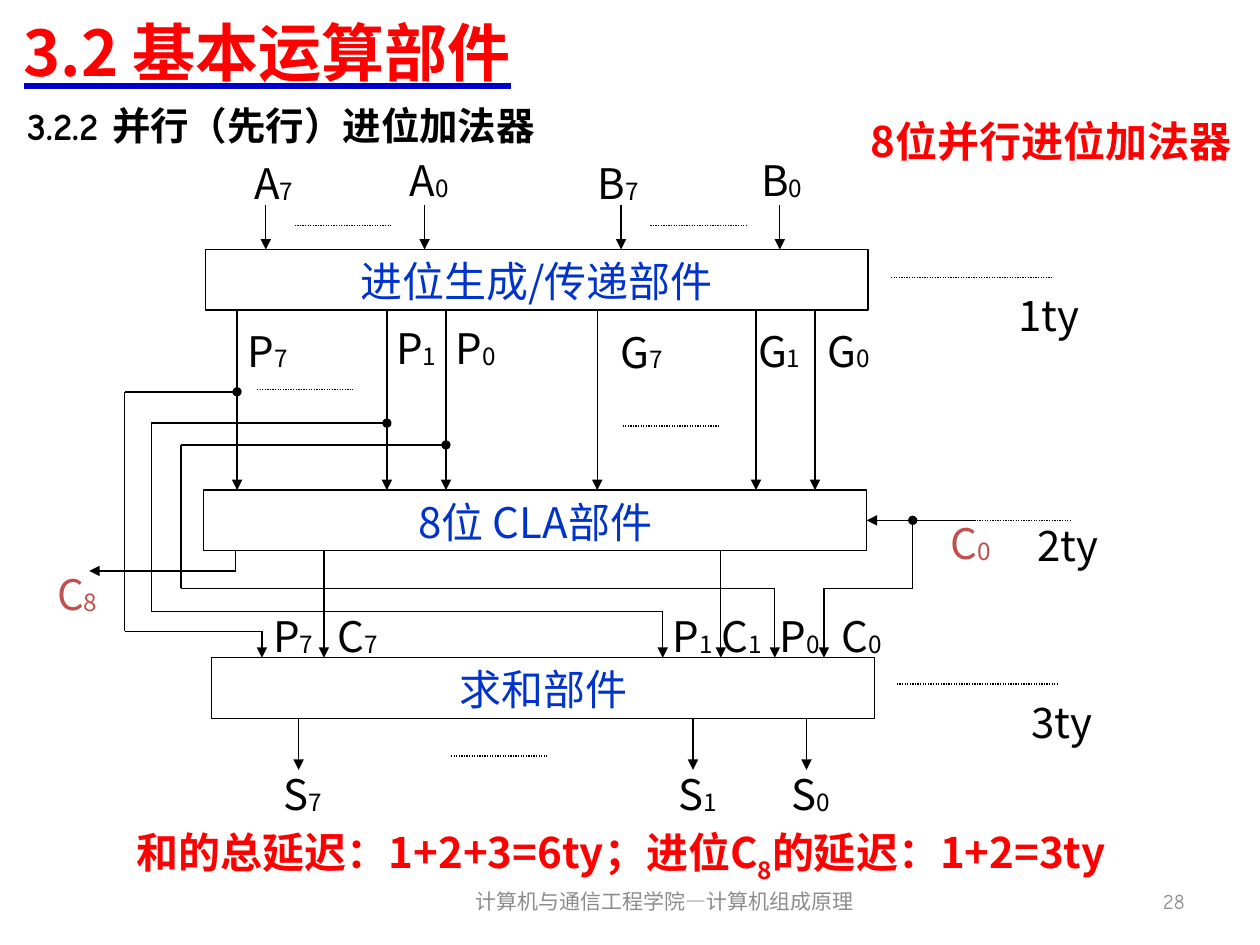
from itertools import pairwise
from pptx import Presentation
from pptx.dml.color import RGBColor as Rgb
from pptx.enum.dml import MSO_LINE as Dash
from pptx.enum.shapes import MSO_CONNECTOR as Conn, MSO_SHAPE as Geo
from pptx.enum.text import MSO_ANCHOR as Anchor, MSO_UNDERLINE as Under, PP_ALIGN as Align
from pptx.oxml import parse_xml
from pptx.oxml.ns import nsdecls, qn
from pptx.util import Cm, Pt

SANS, COMIC = "Noto Sans CJK SC", "Comic Neue"
BLACK, RED, BLUE, ROSE, GREY = "000000", "FF0000", "0033CC", "C0504D", "8C8C8C"
WIDE, HIGH = 13.36, 1.22


def hue(code):
    """Turn a hex string into a colour."""
    return Rgb.from_string(code)


def write(shape, text, size=24, font=SANS, color=BLACK, bold=False,
          align=Align.CENTER, anchor=Anchor.TOP, line=None):
    """Fill a shape with a string or a list of (string, baseline) runs."""
    frame = shape.text_frame
    frame.word_wrap = True
    frame.vertical_anchor = anchor
    para = frame.paragraphs[0]
    para.alignment = align
    for part, base in [(text, 0)] if isinstance(text, str) else text:
        run = para.add_run()
        run.text = part
        face = run.font
        face.size, face.name, face.bold = Pt(size), font, bold
        face.color.rgb = hue(color)
        props = face._element
        if base:
            props.set("baseline", str(base * 1000))
        if line:
            face.underline = Under.HEAVY_LINE
            props.find(qn("a:latin")).addprevious(parse_xml(
                f'<a:uFill {nsdecls("a")}><a:solidFill><a:srgbClr val="{line}"/>'
                '</a:solidFill></a:uFill>'))
        props.find(qn("a:latin")).addnext(
            parse_xml(f'<a:ea {nsdecls("a")} typeface="{SANS}"/>'))


def note(slide, x, y, w, h, text, **style):
    """Add a text box."""
    write(slide.shapes.add_textbox(Cm(x), Cm(y), Cm(w), Cm(h)), text, **style)


def sign(slide, x, y, name, color=BLACK):
    """Add a signal name with its index, centred on x."""
    note(slide, x - 0.9, y, 1.8, 1.27, [(name[0], 0), (name[1], -2)], color=color)


def wire(slide, x1, y1, x2, y2, tip=False, dash=None):
    """Add a straight line, with an arrowhead if tip is set."""
    link = slide.shapes.add_connector(Conn.STRAIGHT, Cm(x1), Cm(y1), Cm(x2), Cm(y2))
    link.line.color.rgb = hue(BLACK)
    link.line.width = Pt(0.75)
    if dash:
        link.line.dash_style = dash
    if tip:
        link.line._get_or_add_ln().append(
            parse_xml(f'<a:tailEnd {nsdecls("a")} type="triangle"/>'))
    link._element.spPr.append(parse_xml(f'<a:effectLst {nsdecls("a")}/>'))
    return link


def dots(slide, x, y, size=1.94):
    """Add a dotted level line."""
    wire(slide, x, y, x + size, y, dash=Dash.ROUND_DOT)


def route(slide, *points):
    """Join points with lines, the last one an arrow."""
    legs = list(pairwise(points))
    for leg in legs:
        wire(slide, *leg[0], *leg[1], tip=leg is legs[-1])


def shape(slide, geo, x, y, w, h):
    """Add an outlined shape without fill."""
    item = slide.shapes.add_shape(geo, Cm(x), Cm(y), Cm(w), Cm(h))
    item.shadow.inherit = False
    item.fill.background()
    item.line.color.rgb = hue(BLACK)
    item.line.width = Pt(0.75)
    return item


def unit(slide, x, y, text):
    """Add a named block of the adder."""
    item = shape(slide, Geo.RECTANGLE, x, y, WIDE, HIGH)
    write(item, text, color=BLUE)
    return item


def knot(slide, x, y):
    """Add a junction dot centred on a point."""
    item = shape(slide, Geo.OVAL, x - 0.08, y - 0.08, 0.16, 0.16)
    item.fill.solid()
    item.fill.fore_color.rgb = hue(BLACK)


def carry(slide, x, y):
    """Draw the generate and propagate block with its inputs."""
    unit(slide, x, y, "进位生成/传递部件")
    for name, dx, tx, ty in [("A7", 1.22, 1.38, -1.98), ("A0", 4.42, 4.51, -2.03),
                             ("B7", 8.38, 8.32, -1.98), ("B0", 11.58, 11.62, -2.03)]:
        wire(slide, x + dx, y - 0.89, x + dx, y, tip=True)
        sign(slide, x + tx, y + ty, name)
    for dx in (1.8, 8.97):
        dots(slide, x + dx, y - 0.48)


def ahead(slide, x, y):
    """Draw the look-ahead block with the wires above and below it."""
    box = unit(slide, x, y, "8位 CLA部件")
    mid, end = HIGH / 2, y + 3.38
    for name, dx, tx, ty in [("P7", 0.67, 1.29, -3.45), ("P1", 3.69, 4.28, -3.5),
                             ("P0", 4.88, 5.48, -3.5), ("G7", 7.93, 8.83, -3.43),
                             ("G1", 11.13, 11.6, -3.45), ("G0", 12.32, 13.01, -3.45)]:
        wire(slide, x + dx, y - 3.63, x + dx, y, tip=True)
        sign(slide, x + tx, y + ty, name)
    dots(slide, x + 1.07, y - 2.03)
    dots(slide, x + 8.44, y - 1.29)
    for tap, top, left, low, goal in [(0.67, -1.98, -1.6, 2.85, 1.17),
                                      (3.69, -1.35, -1.06, 2.44, 9.25),
                                      (4.88, -0.91, -0.46, 1.98, 11.51)]:
        route(slide, (x + tap, y + top), (x + left, y + top), (x + left, y + low),
              (x + goal, y + low), (x + goal, end))
        knot(slide, x + tap, y + top)
    for dx in (2.42, 10.42):
        wire(slide, x + dx, y + HIGH, x + dx, end, tip=True)
    feed = wire(slide, x + 15.55, y + mid, x + WIDE, y + mid, tip=True)
    feed.end_connect(box, 3)
    route(slide, (x + 14.29, y + mid), (x + 14.29, y + 1.98),
          (x + 12.5, y + 1.98), (x + 12.5, end))
    knot(slide, x + 14.29, y + mid)
    sign(slide, x + 15.46, y + 0.43, "C0", ROSE)
    route(slide, (x + 0.64, y + HIGH), (x + 0.64, y + 1.63), (x - 2.31, y + 1.63))
    sign(slide, x - 2.55, y + 1.45, "C8", ROSE)


def total(slide, x, y):
    """Draw the sum block with its input names and outputs."""
    unit(slide, x, y, "求和部件")
    for name, dx in [("P7", 1.64), ("C7", 2.94), ("P1", 9.69),
                     ("C1", 10.69), ("P0", 11.85), ("C0", 13.1)]:
        sign(slide, x + dx, y - 1.07, name)
    for name, dx in [("S7", 1.75), ("S1", 9.7), ("S0", 11.99)]:
        wire(slide, x + dx, y + HIGH, x + dx, y + 2.26, tip=True)
        sign(slide, x + dx + 0.09, y + 2.11, name)
    dots(slide, x + 4.82, y + 1.98)


def delay(slide, x, y, text, dx, dy):
    """Draw a dotted level with its delay."""
    dots(slide, x, y, 3.25)
    note(slide, x + dx - 1.18, y + dy, 2.36, 1.27, text)


def head(slide, x, y):
    """Write the title, the section and the topic."""
    note(slide, x, y, 22.86, 1.8, "3.2 基本运算部件", size=36, color=RED, bold=True,
         align=Align.LEFT, anchor=Anchor.MIDDLE, line="0000CC")
    note(slide, x + 0.07, y + 1.8, 15, 1.2, "3.2.2 并行（先行）进位加法器", size=22,
         font=COMIC, bold=True, align=Align.LEFT)
    note(slide, x + 17.07, y + 2.08, 7.9, 1.27, "8位并行进位加法器",
         color=RED, bold=True, align=Align.LEFT)


def foot(slide, x, y):
    """Write the total delay and the footer."""
    note(slide, x, y, 20.98, 1.27,
         [("和的总延迟：1+2+3=6ty；进位C", 0), ("8", -25), ("的延迟：1+2=3ty", 0)],
         color=RED, bold=True, align=Align.LEFT)
    style = dict(size=12, font=COMIC, color=GREY, anchor=Anchor.MIDDLE)
    note(slide, x + 6.18, y + 1.11, 9.42, 1.02, "计算机与通信工程学院—计算机组成原理", **style)
    note(slide, x + 15.7, y + 1.11, 5.92, 1.02, "28", align=Align.RIGHT, **style)


def main():
    """Build and save the slide."""
    deck = Presentation()
    deck.slide_width, deck.slide_height = Cm(25.4), Cm(19.05)
    slide = deck.slides.add_slide(deck.slide_layouts[6])
    head(slide, 0.23, 0.13)
    carry(slide, 4.14, 5.03)
    ahead(slide, 4.11, 9.88)
    total(slide, 4.27, 13.26)
    delay(slide, 17.96, 5.59, "1ty", 3.19, 0.13)
    delay(slide, 18.34, 10.49, "2ty", 3.19, -0.15)
    delay(slide, 18.08, 13.79, "3ty", 3.32, 0.13)
    foot(slide, 2.51, 16.54)
    deck.save("out.pptx")


if __name__ == "__main__":
    main()
